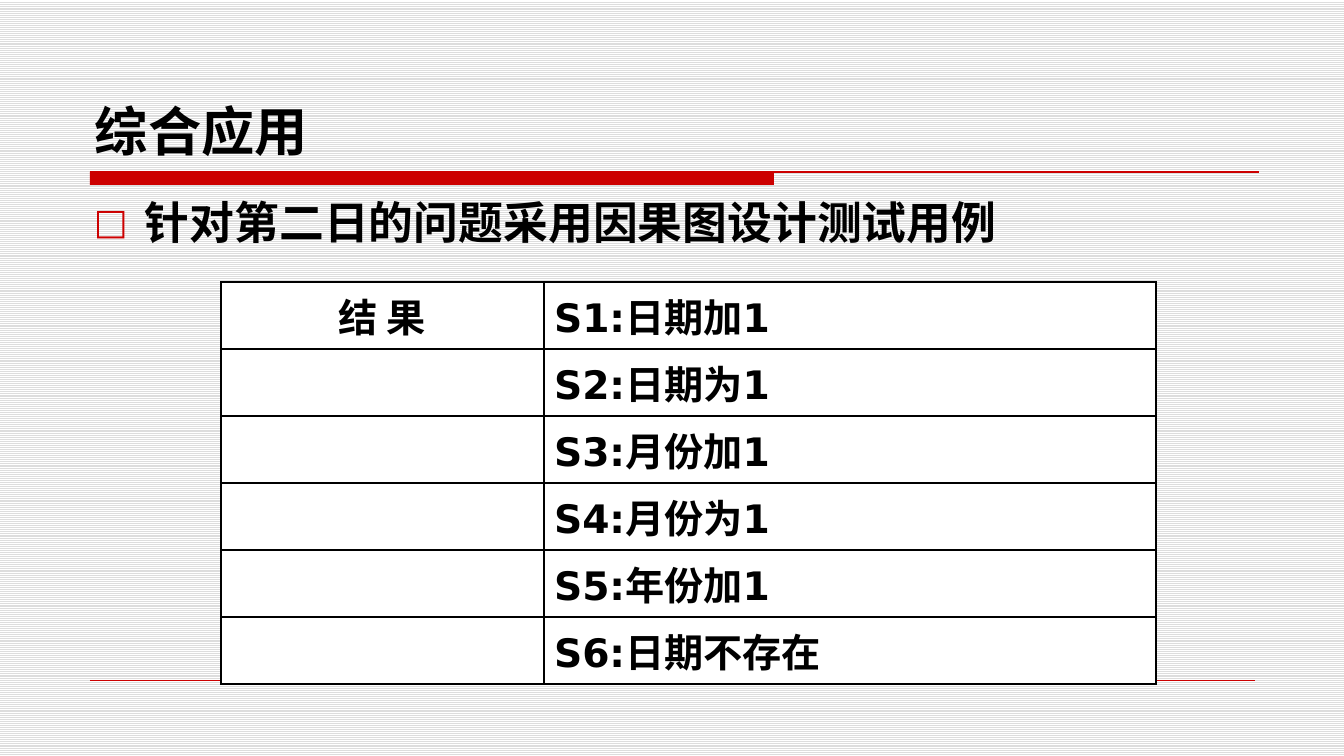
from lxml.etree import SubElement
from pptx import Presentation
from pptx.dml.color import RGBColor
from pptx.enum.dml import MSO_PATTERN
from pptx.enum.shapes import MSO_CONNECTOR, MSO_SHAPE
from pptx.enum.text import MSO_ANCHOR, PP_ALIGN
from pptx.oxml.ns import qn
from pptx.util import Pt

PX = 9144000 / 1008
COLORS = {"red": "CC0000", "black": "000000", "white": "FFFFFF", "stripe": "DDDDDD"}
RGB = {name: RGBColor.from_string(code) for name, code in COLORS.items()}


def px(*lengths):
    """Turn pixel lengths into a list of EMU."""
    return [round(length * PX) for length in lengths]


def write(frame, text, size=28, align=PP_ALIGN.LEFT, anchor=MSO_ANCHOR.TOP, font="DejaVu Sans"):
    """Put one bold black line into a text frame and return its paragraph."""
    frame.word_wrap = True
    frame.vertical_anchor = anchor
    paragraph = frame.paragraphs[0]
    paragraph.alignment = align
    run = paragraph.add_run()
    run.text = text
    run.font.size = Pt(size)
    run.font.bold = True
    run.font.name = font
    run.font.color.rgb = RGB["black"]
    SubElement(run.font._element, qn("a:ea"), typeface="Noto Sans CJK SC")
    return paragraph


prs = Presentation()
prs.slide_width, prs.slide_height = px(1344, 756)
slide = prs.slides.add_slide(prs.slide_layouts[6])
backdrop = slide.background.fill
backdrop.patterned()
backdrop.pattern = MSO_PATTERN.LIGHT_HORIZONTAL
backdrop.fore_color.rgb = RGB["stripe"]
backdrop.back_color.rgb = RGB["white"]

# Red bar and the thin rules of the page frame
title_bar = slide.shapes.add_shape(MSO_SHAPE.RECTANGLE, *px(90, 172, 684, 13))
title_bar.shadow.inherit = False
title_bar.fill.solid()
title_bar.fill.fore_color.rgb = RGB["red"]
title_bar.line.fill.background()
for right, y, weight in [(1259, 172, 0.75), (1255, 680, 0.25)]:
    rule = slide.shapes.add_connector(MSO_CONNECTOR.STRAIGHT, *px(90, y, right, y))
    rule.line.color.rgb = RGB["red"]
    rule.line.width = Pt(weight)
    SubElement(rule._element.spPr, qn("a:effectLst"))

title = slide.shapes.add_textbox(*px(85, 33, 1176, 134))
write(title.text_frame, "综合应用", size=38, anchor=MSO_ANCHOR.BOTTOM, font="Noto Sans CJK SC")

task = slide.shapes.add_textbox(*px(84, 190, 1176, 80))
task_line = write(task.text_frame, "针对第二日的问题采用因果图设计测试用例", size=32)
bullet = task_line._p.get_or_add_pPr()
indent = px(51)[0]
bullet.set("marL", str(indent))
bullet.set("indent", str(-indent))
SubElement(SubElement(bullet, qn("a:buClr")), qn("a:srgbClr"), val=COLORS["red"])
SubElement(bullet, qn("a:buSzPct"), val="80000")
SubElement(bullet, qn("a:buFont"), typeface="DejaVu Sans")
SubElement(bullet, qn("a:buChar"), char="□")

# Results of the cause-effect graph
results = ["日期加1", "日期为1", "月份加1", "月份为1", "年份加1", "日期不存在"]
row_height = 67
table = slide.shapes.add_table(
    len(results), 2, *px(221, 282, 935, row_height * len(results))
).table
table.first_row = table.horz_banding = False
for column, width in zip(table.columns, px(323, 612)):
    column.width = width
for row in table.rows:
    row.height = px(row_height)[0]

for cell in table.iter_cells():
    properties = cell._tc.get_or_add_tcPr()
    for side in ("lnL", "lnR", "lnT", "lnB"):
        border = SubElement(properties, qn(f"a:{side}"), w=str(Pt(1)))
        SubElement(SubElement(border, qn("a:solidFill")), qn("a:srgbClr"), val=COLORS["black"])
    cell.fill.solid()
    cell.fill.fore_color.rgb = RGB["white"]

write(table.cell(0, 0).text_frame, "结 果", align=PP_ALIGN.CENTER)
for index, result in enumerate(results):
    write(table.cell(index, 1).text_frame, f"S{index + 1}:{result}")

prs.save("out.pptx")
